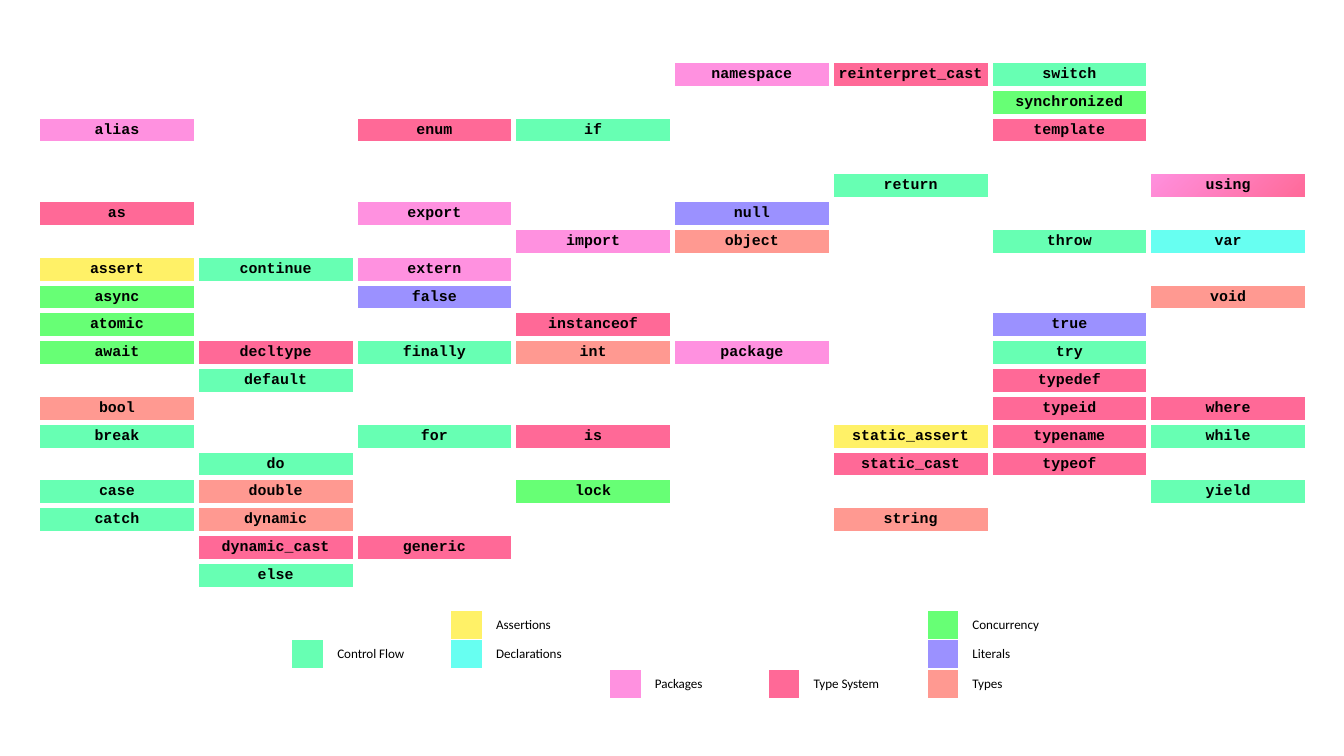
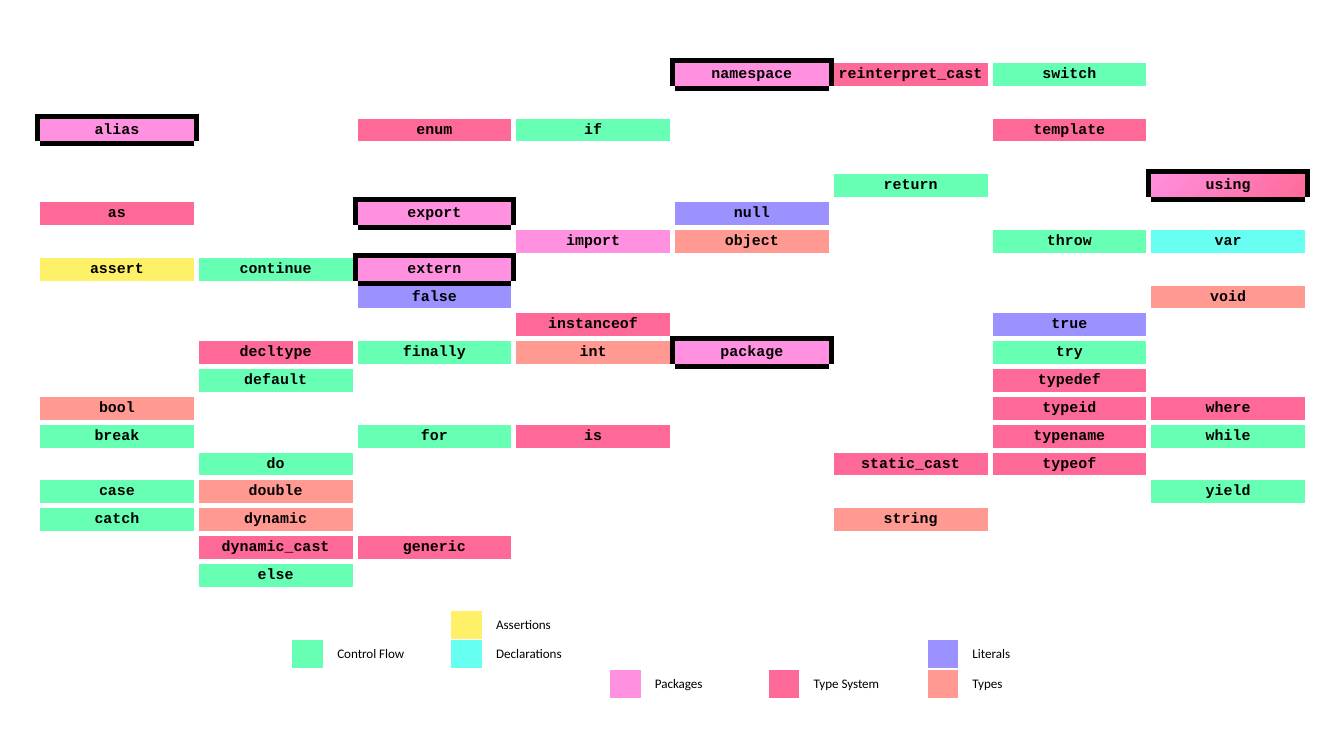
from lxml import etree
from pptx import Presentation
from pptx.dml.color import RGBColor
from pptx.enum.text import MSO_ANCHOR, PP_ALIGN
from pptx.oxml.ns import qn
from pptx.util import Inches, Pt

CENTER = PP_ALIGN.CENTER
MIDDLE = MSO_ANCHOR.MIDDLE
BLACK, WHITE = "000000", "FFFFFF"

# Category: colour, legend row, legend column, keywords
CATEGORIES = {
    "Assertions": ("FFF167", 0, 1, "assert static_assert"),
    "Concurrency": ("67FF75", 0, 4, "synchronized async atomic await lock"),
    "Control Flow": ("67FFB3", 1, 0, "switch if return throw continue finally try default "
                     "break for while do case yield catch else"),
    "Declarations": ("67FFF1", 1, 1, "var"),
    "Literals": ("9B91FF", 1, 4, "null false true"),
    "Packages": ("FF91E0", 2, 2, "namespace alias using export import extern package"),
    "Type System": ("FF6997", 2, 3, "reinterpret_cast enum template using as instanceof "
                    "decltype typedef typeid where is typename static_cast typeof "
                    "dynamic_cast generic"),
    "Types": ("FF9991", 2, 4, "object void int bool double dynamic string"),
}

# One line per table row; a dash is an empty cell
KEYWORD_GRID = """
- - - - namespace reinterpret_cast switch -
- - - - - - synchronized -
alias - enum if - - template -
- - - - - - - -
- - - - - return - using
as - export - null - - -
- - - import object - throw var
assert continue extern - - - - -
async - false - - - - void
atomic - - instanceof - - true -
await decltype finally int package - try -
- default - - - - typedef -
bool - - - - - typeid where
break - for is - static_assert typename while
- do - - - static_cast typeof -
case double - lock - - - yield
catch dynamic - - - string - -
- dynamic_cast generic - - - - -
- else - - - - - -
"""

# Removed category, removed keywords, outlined keywords
SLIDES = [
    (None, set(), set()),
    ("Concurrency", set(CATEGORIES["Concurrency"][3].split()) | {"static_assert"},
     {"namespace", "alias", "using", "export", "extern", "package"}),
]

# Side of a cell: row and column step to the neighbour that shares it
SIDES = {"a:lnL": (0, -1), "a:lnR": (0, 1), "a:lnT": (-1, 0), "a:lnB": (1, 0)}


def add_plain_table(page, left, top, width, height, row_heights, column_widths):
    """Add a table without header row or banding."""
    frame = page.shapes.add_table(len(row_heights), len(column_widths), Inches(left),
                                  Inches(top), Inches(width), Inches(height))
    table = frame.table
    table.first_row = table.horz_banding = False
    for row, row_height in zip(table.rows, row_heights):
        row.height = Inches(row_height)
    for column, column_width in zip(table.columns, column_widths):
        column.width = Inches(column_width)
    frame.height = Inches(height)
    return table


def format_cell(cell, text, font_name, size, bold, fills, border_width, border_colors):
    """Write a cell; two fills give a diagonal gradient, none leaves it clear."""
    properties = cell._tc.get_or_add_tcPr()
    for side, color in zip(SIDES, border_colors):
        line = etree.SubElement(properties, qn(side), w=str(Pt(border_width)))
        solid = etree.SubElement(line, qn("a:solidFill"))
        etree.SubElement(solid, qn("a:srgbClr"), val=color)
    if len(fills) == 2:
        cell.fill.gradient()
        cell.fill.gradient_angle = 315
        for stop, color in zip(cell.fill.gradient_stops, fills):
            stop.color.rgb = RGBColor.from_string(color)
    elif fills:
        cell.fill.solid()
        cell.fill.fore_color.rgb = RGBColor.from_string(fills[0])
    else:
        cell.fill.background()
    paragraph = cell.text_frame.paragraphs[0]
    if text:
        paragraph.text = text
        font = paragraph.runs[0].font
        font.name, font.size, font.bold = font_name, Pt(size), bold
        font.color.rgb = RGBColor.from_string(BLACK)
    else:
        # Keeps an empty cell from stretching its row
        paragraph._p.get_or_add_endParaRPr().set("sz", str(size * 100))


deck = Presentation()
deck.slide_width = Inches(10)
deck.slide_height = deck.slide_width * 9 // 16
keyword_rows = [line.split() for line in KEYWORD_GRID.strip().splitlines()]
row_count, column_count = len(keyword_rows), len(keyword_rows[0])

for removed_category, removed, outlined in SLIDES:
    page = deck.slides.add_slide(deck.slide_layouts[6])

    keywords = add_plain_table(page, 0.28, 0.45, 9.45, 3.94, [3.94 / row_count] * row_count,
                               [9.45 / column_count] * column_count)
    outlined_cells = {(row, column) for row, words in enumerate(keyword_rows)
                      for column, word in enumerate(words) if word in outlined}
    for row, words in enumerate(keyword_rows):
        for column, word in enumerate(words):
            text = "" if word == "-" or word in removed else word
            fills = [color for color, _, _, members in CATEGORIES.values()
                     if text in members.split()]
            borders = [BLACK if outlined_cells & {(row, column), (row + down, column + right)}
                       else WHITE for down, right in SIDES.values()]
            cell = keywords.cell(row, column)
            cell.margin_left = cell.margin_right = cell.margin_top = cell.margin_bottom = 0
            cell.vertical_anchor = MIDDLE
            format_cell(cell, text, "Courier New", 8, True, fills, 3, borders)
            cell.text_frame.paragraphs[0].alignment = CENTER

    legend = add_plain_table(page, 2.17, 4.54, 5.91, 0.65, [0.16] * 3,
                             [0.24, 5.91 / 5 - 0.24] * 5)
    entries = {}
    for name, (color, row, column, _) in CATEGORIES.items():
        if name != removed_category:
            entries[row, 2 * column] = ("", [color])
            entries[row, 2 * column + 1] = (name, [])
    for row in range(3):
        for column in range(10):
            text, fills = entries.get((row, column), ("", []))
            format_cell(legend.cell(row, column), text, "Calibri", 7, False, fills, 1,
                        [WHITE] * 4)

deck.save("out.pptx")
